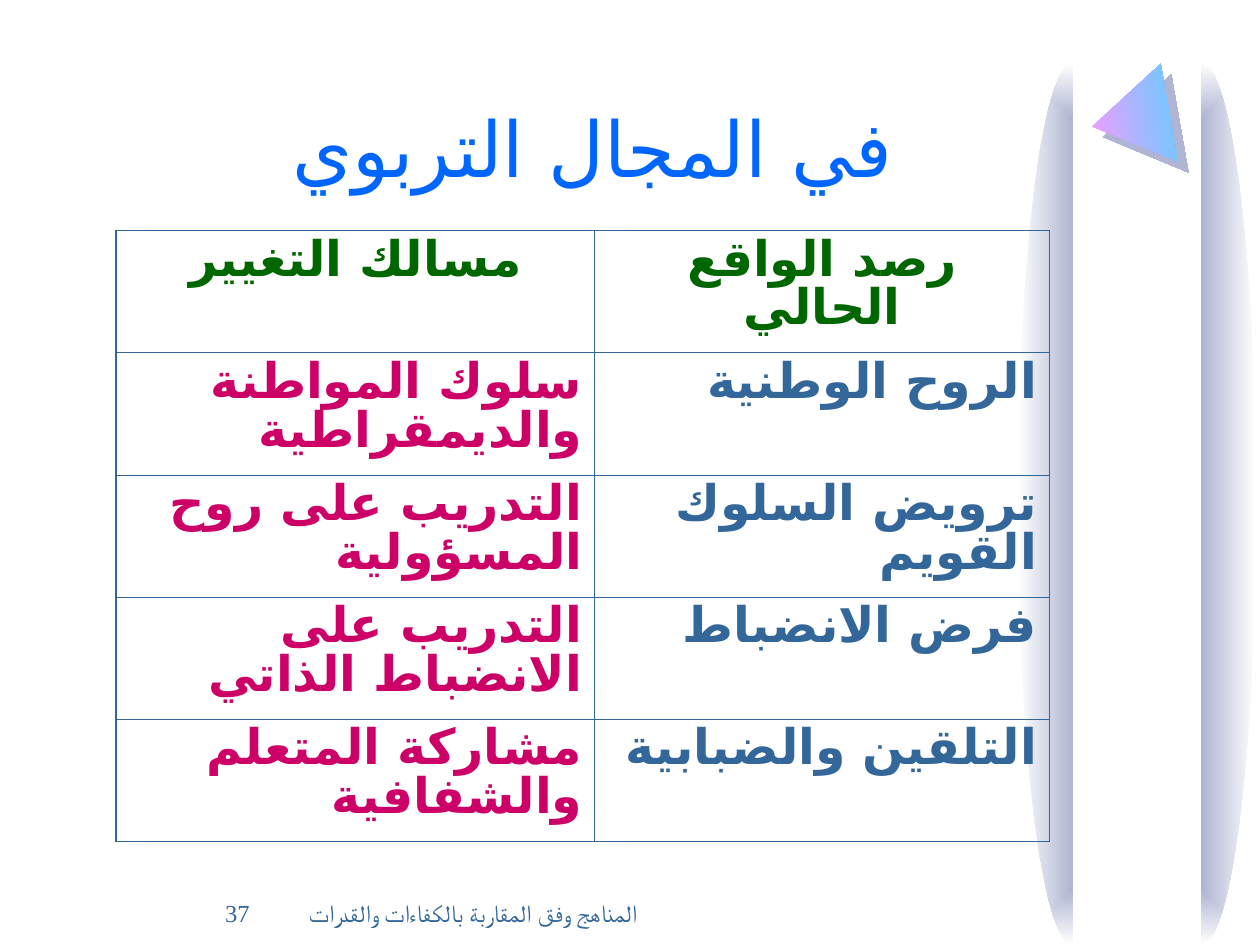
from lxml import etree
from pptx import Presentation
from pptx import util as u
from pptx.dml.color import RGBColor
from pptx.enum import shapes, text
from pptx.oxml import parse_xml
from pptx.oxml.ns import nsdecls, qn

FONT = "Times New Roman"
ARABIC_FONT = "DejaVu Sans"
TITLE_BLUE = RGBColor(0x00, 0x66, 0xFF)
STEEL = RGBColor(0x33, 0x66, 0x99)
GREEN = RGBColor(0x00, 0x66, 0x00)
MAGENTA = RGBColor(0xCC, 0x00, 0x66)
HAZE = RGBColor(0xAF, 0xB5, 0xD2)
WHITE = RGBColor(0xFF, 0xFF, 0xFF)
PINK = RGBColor(0xFF, 0x99, 0xFF)
SKY = RGBColor(0x66, 0xCC, 0xFF)

TITLE = "في المجال التربوي"
FOOTER = "المناهج وفق المقاربة بالكفاءات والقدرات"
PAGE_NUMBER = "37"
ROWS = [
    ("مسالك التغيير", "رصد الواقع الحالي"),
    ("سلوك المواطنة والديمقراطية", "الروح الوطنية"),
    ("التدريب على روح المسؤولية", "ترويض السلوك القويم"),
    ("التدريب على الانضباط الذاتي", "فرض الانضباط"),
    ("مشاركة المتعلم والشفافية", "التلقين والضبابية"),
]
COLUMN_WIDTHS = (3.8, 3.61)
ROW_HEIGHT = 0.97
THICK, THIN = 1.08, 0.45

CENTER, RIGHT = text.PP_ALIGN.CENTER, text.PP_ALIGN.RIGHT
MIDDLE, BOTTOM = text.MSO_ANCHOR.MIDDLE, text.MSO_ANCHOR.BOTTOM


def inches(*values):
    return [u.Inches(value) for value in values]


def write(para, words, size, color, align, bold=False, arabic_font=ARABIC_FONT):
    """Add one right-to-left run to a paragraph."""
    para.alignment = align
    para._p.get_or_add_pPr().set("rtl", "1")
    span = para.add_run()
    span.text = words
    span.font.size = u.Pt(size)
    span.font.name = FONT
    span.font.bold = bold
    span.font.color.rgb = color
    etree.SubElement(span._r.rPr, qn("a:cs")).set("typeface", arabic_font)


def add_text(page, place, anchor, *content, **options):
    frame = page.shapes.add_textbox(*inches(*place)).text_frame
    frame.word_wrap = True
    frame.vertical_anchor = anchor
    write(frame.paragraphs[0], *content, **options)


def add_gradient_shape(page, kind, place, start, end, direction):
    shape = page.shapes.add_shape(kind, *inches(*place))
    shape.shadow.inherit = False
    shape.line.fill.background()
    fill = parse_xml(
        f'<a:gradFill {nsdecls("a")} rotWithShape="1"><a:gsLst>'
        f'<a:gs pos="0"><a:srgbClr val="{start}"/></a:gs>'
        f'<a:gs pos="100000"><a:srgbClr val="{end}"/></a:gs>'
        f'</a:gsLst>{direction}</a:gradFill>')
    shape._element.spPr.find(qn("a:prstGeom")).addnext(fill)
    return shape


def set_borders(cell, widths):
    properties = cell._tc.get_or_add_tcPr()
    for side, width in zip("LRTB", widths):
        properties.append(parse_xml(
            f'<a:ln{side} {nsdecls("a")} w="{u.Pt(width)}"><a:solidFill>'
            f'<a:srgbClr val="{STEEL}"/></a:solidFill></a:ln{side}>'))


def add_decoration(page):
    # Two shaded half ellipses, facing away from each other
    from_center = ('<a:path path="rect"><a:fillToRect l="50000" t="50000" '
                   'r="50000" b="50000"/></a:path>')
    for left, start, end in ((9.1, 162, 54), (8.08, 54, 162)):
        arc = add_gradient_shape(page, shapes.MSO_SHAPE.ARC, (left, 0.5, 0.87, 7),
                                 HAZE, WHITE, from_center)
        arc.adjustments[0], arc.adjustments[1] = start, end

    # Tilted triangle with an offset shadow
    triangle = add_gradient_shape(
        page, shapes.MSO_SHAPE.ISOSCELES_TRIANGLE, (8.58, 0.64, 0.79, 0.62),
        PINK, SKY, '<a:lin ang="5400000" scaled="0"/>')
    triangle.rotation = 260
    triangle._element.spPr.xfrm.set("flipH", "1")
    effects = triangle._element.spPr.find(qn("a:effectLst"))
    effects.append(parse_xml(
        f'<a:outerShdw {nsdecls("a")} dist="{u.Pt(8.5)}" dir="2700000" '
        f'algn="ctr" rotWithShape="0"><a:srgbClr val="{HAZE}"/></a:outerShdw>'))


def add_comparison(page):
    last_row, last_column = len(ROWS) - 1, len(COLUMN_WIDTHS) - 1
    place = inches(0.92, 1.83, sum(COLUMN_WIDTHS), ROW_HEIGHT * len(ROWS))
    table = page.shapes.add_table(len(ROWS), len(COLUMN_WIDTHS), *place).table
    table.first_row = table.horz_banding = False
    for column, width in zip(table.columns, COLUMN_WIDTHS):
        column.width = u.Inches(width)
    for r, words in enumerate(ROWS):
        table.rows[r].height = u.Inches(ROW_HEIGHT)
        for c, word in enumerate(words):
            cell = table.cell(r, c)
            outer = (c == 0, c == last_column, r == 0, r == last_row)
            set_borders(cell, [THICK if edge else THIN for edge in outer])
            cell.fill.background()
            para = cell.text_frame.paragraphs[0]
            para.line_spacing = 0.86
            color = GREEN if r == 0 else (MAGENTA, STEEL)[c]
            write(para, word, 28, color, CENTER if r == 0 else RIGHT, bold=True)


def main():
    deck = Presentation()
    deck.slide_width, deck.slide_height = inches(10, 7.5)
    page = deck.slides.add_slide(deck.slide_layouts[6])
    add_decoration(page)
    add_text(page, (1.58, 0.33, 6.25, 1.25), BOTTOM, TITLE, 44, TITLE_BLUE, CENTER)
    add_comparison(page)
    # Footer and page number
    add_text(page, (2.17, 6.99, 3.17, 0.5), MIDDLE, FOOTER, 14, STEEL, CENTER,
             arabic_font=FONT)
    add_text(page, (0, 6.99, 2.08, 0.5), MIDDLE, PAGE_NUMBER, 14, STEEL, RIGHT,
             arabic_font=FONT)
    deck.save("out.pptx")


if __name__ == "__main__":
    main()
